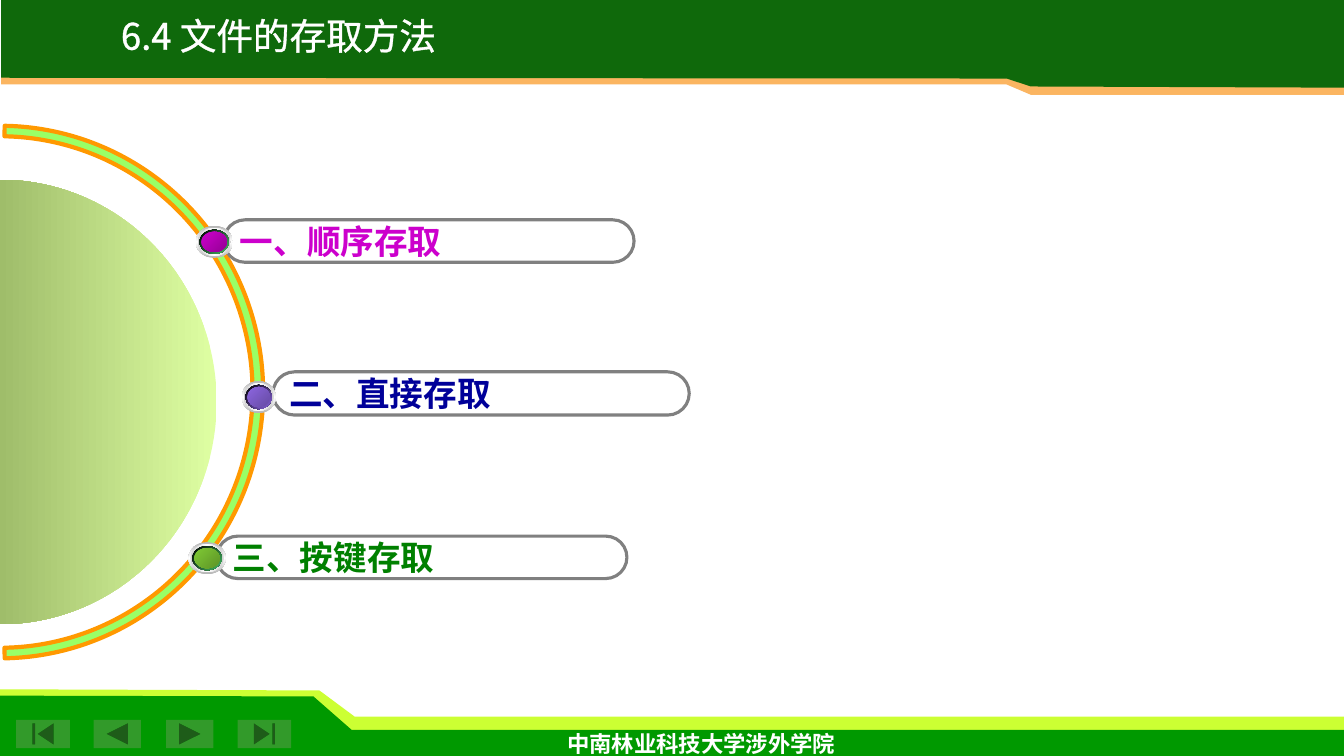
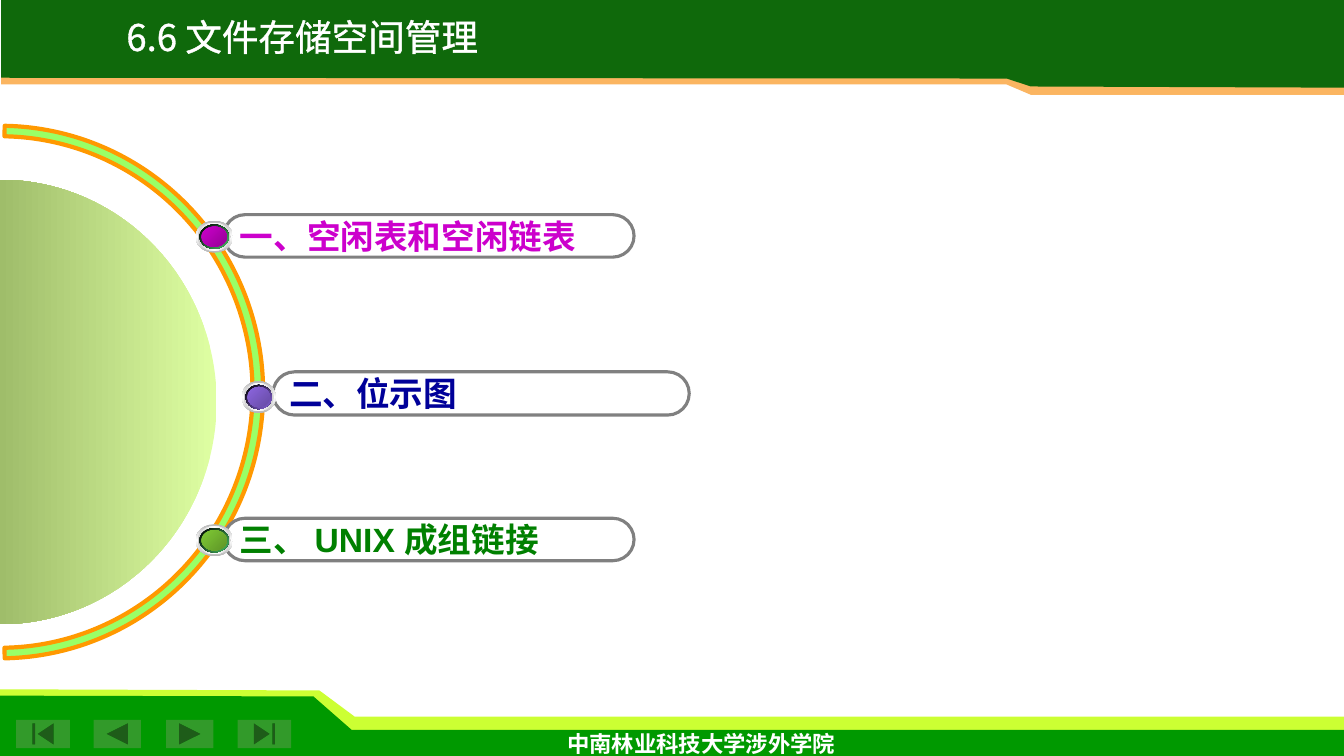
from lxml.etree import SubElement
from pptx import Presentation
from pptx.dml.color import RGBColor
from pptx.enum.shapes import MSO_SHAPE
from pptx.enum.text import MSO_ANCHOR, MSO_AUTO_SIZE, PP_ALIGN
from pptx.oxml.ns import qn
from pptx.util import Cm, Pt

COLORS = {
    "white": "FFFFFF", "lime": "CCFF33", "green": "009900", "button": "329A2A",
    "orange": "FBB561", "dark green": "0F690B", "ring": "99FF66",
    "ring edge": "FF9900", "pill edge": "808080",
}
CJK = "Noto Sans CJK SC"
W, H = 33.87, 19.05

# Title, top and width of the title, then (text, pill left, pill top) per item
SLIDES = [
    ("6.4 文件的存取方法", 0.3, 11.4, [
        ("一、顺序存取", 5.64, 5.54),
        ("二、直接存取", 6.88, 9.37),
        ("三、按键存取", 5.46, 13.51)]),
    ("6.6 文件存储空间管理", 0.33, 12.6, [
        ("一、空闲表和空闲链表", 5.64, 5.41),
        ("二、位示图", 6.88, 9.37),
        ("三、 UNIX 成组链接", 5.64, 13.06)]),
]

# Text colour, rim end, core gradient, pill size, bead offset, bead size
SIDE = ((10.34, 1.07), (-0.71, 0.15), (0.94, 0.81))
MIDDLE = ((10.49, 1.09), (-0.79, 0.23), (0.86, 0.81))
ITEM_STYLES = [
    ("CC00CC", "48BE67", ("CC00CC", "950095"), *SIDE),
    ("000099", "8D67E1", ("8D67E1", "674BA4"), *MIDDLE),
    ("008000", "48BE67", ("80CB35", "5E9427"), *SIDE),
]

BOTTOM_BANDS = [
    ("lime", [(0.03, 18.8), (W, 18.8), (W, 18.06), (8.94, 18.06), (8.05, 17.4), (0, 17.37)]),
    ("green", [(0, 19.13), (W, 19.08), (W, 18.39), (8.86, 18.39), (7.9, 17.55), (0, 17.53)]),
]
TOP_BANDS = [
    ("orange", [(W, 0), (0.03, 0), (0.03, 2.13), (25.37, 2.13), (25.98, 2.39), (W, 2.39)]),
    ("dark green", [(W, 0), (0.03, 0), (0.03, 1.96), (25.37, 1.98), (25.98, 2.18), (W, 2.21)]),
]
HIGHLIGHT = [(25.55, 2.39), (33.53, 2.39), (33.53, 2.51), (25.91, 2.54)]
BUTTONS = [
    (MSO_SHAPE.ACTION_BUTTON_BACK_OR_PREVIOUS, 2.36, 1.19),
    (MSO_SHAPE.ACTION_BUTTON_FORWARD_OR_NEXT, 4.19, 1.19),
    (MSO_SHAPE.ACTION_BUTTON_BEGINNING, 0.41, 1.35),
    (MSO_SHAPE.ACTION_BUTTON_END, 5.99, 1.35),
]
FOOTER = "中南林业科技大学涉外学院"


def rgb(value):
    return RGBColor.from_string(COLORS.get(value, value))


def set_fill(sp, color):
    sp.shadow.inherit = False
    sp.fill.solid()
    sp.fill.fore_color.rgb = rgb(color)
    sp.line.fill.background()


def set_gradient(sp, colors, angle):
    """Spread the colours evenly, with the angle in degrees clockwise."""
    sp.shadow.inherit = False
    sp.line.fill.background()
    sp.fill.gradient()
    sp.fill.gradient_angle = -angle % 360
    stops = next(sp.element.iter(qn("a:gsLst")))
    for stop in list(stops):
        stops.remove(stop)
    for i, color in enumerate(colors):
        stop = SubElement(stops, qn("a:gs"), pos=str(100000 * i // (len(colors) - 1)))
        SubElement(stop, qn("a:srgbClr"), val=color)


def set_text(sp, text, size, color, font, bold=False, align=PP_ALIGN.LEFT):
    tf = sp.text_frame
    tf.word_wrap = True
    tf.auto_size = MSO_AUTO_SIZE.NONE
    tf.vertical_anchor = MSO_ANCHOR.MIDDLE
    tf.margin_top = tf.margin_bottom = 0
    p = tf.paragraphs[0]
    p.text = text
    p.alignment = align
    p.font.size = Pt(size)
    p.font.bold = bold
    p.font.name = font
    p.font.color.rgb = rgb(color)
    for props in sp.element.iter(qn("a:defRPr")):
        SubElement(props, qn("a:ea"), typeface=CJK)


def outline_text(sp, color, width):
    for props in sp.element.iter(qn("a:defRPr")):
        line = SubElement(props, qn("a:ln"), w=str(Pt(width)))
        fill = SubElement(line, qn("a:solidFill"))
        SubElement(fill, qn("a:srgbClr"), val=COLORS[color])
        props.insert(0, line)


def add_polygon(shapes, points, color):
    points = [(Cm(x), Cm(y)) for x, y in points]
    builder = shapes.build_freeform(*points[0])
    builder.add_line_segments(points[1:], close=True)
    sp = builder.convert_to_shape()
    set_fill(sp, color)
    return sp


def add_frame(slide):
    """Draw the bands, buttons and footer, and move them to the slide's layout."""
    shapes = slide.shapes
    parts = [add_polygon(shapes, points, color) for color, points in BOTTOM_BANDS]
    for kind, left, width in BUTTONS:
        sp = shapes.add_shape(kind, Cm(left), Cm(18.14), Cm(width), Cm(0.71))
        set_fill(sp, "button")
        parts.append(sp)
    parts += [add_polygon(shapes, points, color) for color, points in TOP_BANDS]
    highlight = add_polygon(shapes, HIGHLIGHT, "white")
    SubElement(next(highlight.element.iter(qn("a:srgbClr"))), qn("a:alpha"), val="30000")
    parts.append(highlight)
    sp = shapes.add_textbox(Cm(10.54), Cm(18.26), Cm(14.27), Cm(0.94))
    set_text(sp, FOOTER, 16, "white", "Times New Roman", True, PP_ALIGN.CENTER)
    parts.append(sp)
    for sp in parts:
        slide.slide_layout.shapes.element.append(sp.element)


def add_half_ring(shapes, center_y, width, height, adjustments):
    """Add the right half of a ring centred on the slide's left edge."""
    sp = shapes.add_shape(MSO_SHAPE.BLOCK_ARC, Cm(-width / 2), Cm(center_y - height / 2),
                          Cm(width), Cm(height))
    sp.rotation = 90
    for i, value in enumerate(adjustments):
        sp.adjustments[i] = value
    return sp


def add_dial(shapes):
    ring = add_half_ring(shapes, 9.88, 13.42, 13.26, (108.6, 215.4, 0.02))
    set_fill(ring, "ring")
    ring.line.color.rgb = rgb("ring edge")
    ring.line.width = Pt(3)
    disc = add_half_ring(shapes, 10.13, 11.2, 10.92, (108, 0, 0.5))
    set_gradient(disc, ("DFFFA3", "5E7830"), 90)


def add_item(slide, item, style):
    text, left, top = item
    color, rim, core, pill_size, (dx, dy), (width, height) = style
    shapes = slide.shapes.add_group_shape().shapes
    pill = shapes.add_shape(MSO_SHAPE.ROUNDED_RECTANGLE, Cm(left), Cm(top),
                            *map(Cm, pill_size))
    pill.adjustments[0] = 0.5
    pill.shadow.inherit = False
    pill.fill.background()
    pill.line.color.rgb = rgb("pill edge")
    pill.line.width = Pt(2.25)
    set_text(pill, text, 24, color, "Arial", True)

    layers = [
        (("B6B6B6", "FFFFFF", "B6B6B6"), 90),
        (("D1D1D1", "FFFFFF", "D1D1D1"), 0),
        (("000000", rim), 45),
        (core, 45),
    ]
    for i, (colors, angle) in enumerate(layers):
        inset = 0.05 * i
        bead = shapes.add_shape(MSO_SHAPE.OVAL, Cm(left + dx + inset), Cm(top + dy + inset),
                                Cm(width - 2 * inset), Cm(height - 2 * inset))
        set_gradient(bead, colors, angle)


def add_title(slide, text, top, width):
    title = slide.shapes.title
    title.left, title.top, title.width, title.height = Cm(1.32), Cm(top), Cm(width), Cm(1.17)
    set_text(title, text, 26.1, "white", CJK, align=PP_ALIGN.CENTER)
    outline_text(title, "white", 1.5)


def main():
    prs = Presentation()
    prs.slide_width, prs.slide_height = Cm(W), Cm(H)
    for number, (title, title_top, title_width, items) in enumerate(SLIDES):
        slide = prs.slides.add_slide(prs.slide_layouts[5])
        if number == 0:
            add_frame(slide)
        add_title(slide, title, title_top, title_width)
        add_dial(slide.shapes)
        for item, style in zip(items, ITEM_STYLES):
            add_item(slide, item, style)
    prs.save("out.pptx")


if __name__ == "__main__":
    main()
